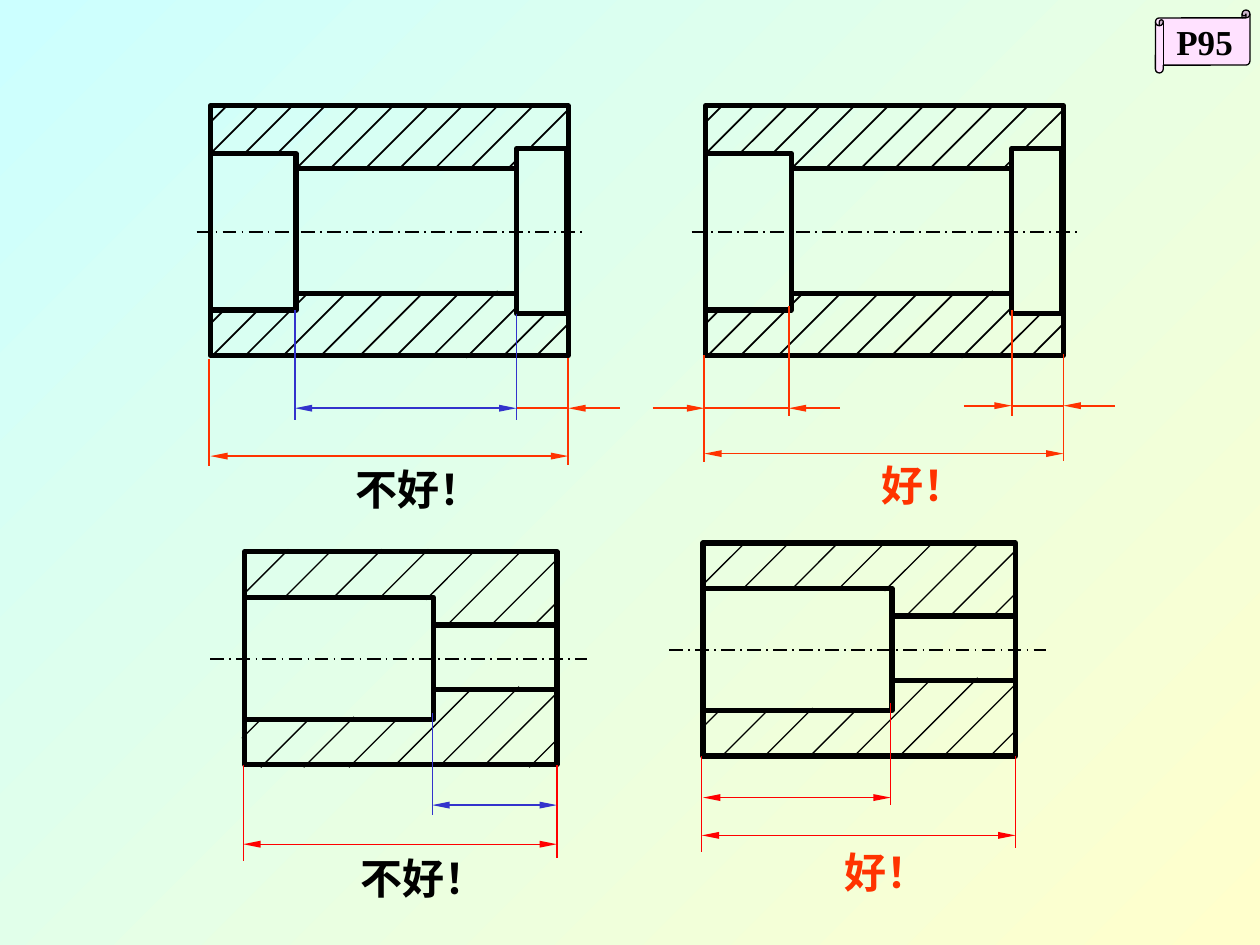
from dataclasses import dataclass
from typing import NamedTuple

from lxml import etree
from pptx import Presentation
from pptx.dml.color import RGBColor
from pptx.enum import dml, shapes, text
from pptx.oxml import ns
from pptx.util import Inches, Pt


@dataclass(frozen=True)
class Theme:
    ink: str = "000000"
    orange: str = "FF3300"
    red: str = "FF0000"
    blue: str = "3333CC"
    pink: str = "FFE1FF"
    sky: str = "CCFFFF"
    cream: str = "FFFFCC"
    bold: float = 3
    thin: float = 1
    fine: float = 0.75
    label: int = 24
    page: int = 20
    sans: str = "Calibri"
    serif: str = "Times New Roman"


class Box(NamedTuple):
    x: float
    y: float
    w: float
    h: float


class Line(NamedTuple):
    x1: float
    y1: float
    x2: float
    y2: float


class Hatch(NamedTuple):
    """A 45 degree stroke rising to the right from its lower end."""
    x: float
    y: float
    rise: float


class Part(NamedTuple):
    """A sectioned part, measured from its top left corner."""
    axis: Line
    boxes: tuple[Box, ...]
    bores: tuple[Line, ...]
    hatch: tuple[tuple[float, float, float], ...]
    width: float


class Dim(NamedTuple):
    line: Line
    color: str
    width: float
    head: bool = False
    tail: bool = False


class Label(NamedTuple):
    words: str
    box: Box
    color: str


T = Theme()

BUSH = Part(
    Line(-0.11, 1, 2.98, 1),
    (Box(0, 0, 2.84, 1.98), Box(0, 0.38, 0.68, 1.24), Box(2.43, 0.34, 0.4, 1.31)),
    (Line(0.67, 0.5, 2.43, 0.5), Line(0.67, 1.49, 2.43, 1.49)),
    ((0, 0.13, 0.13), (0, 0.38, 0.37), (0.27, 0.38, 0.38), (0.54, 0.37, 0.37),
     (0.68, 0.5, 0.5), (0.95, 0.5, 0.49), (1.23, 0.5, 0.5), (1.5, 0.5, 0.5),
     (1.78, 0.5, 0.5), (2.05, 0.51, 0.51), (2.36, 0.5, 0.07), (2.55, 0.32, 0.28),
     (-0.01, 1.74, 0.12), (0.02, 1.98, 0.36), (0.29, 1.97, 0.49), (0.58, 1.98, 0.5),
     (0.88, 1.98, 0.5), (1.18, 1.99, 0.49), (1.48, 1.98, 0.5), (1.76, 1.99, 0.52),
     (2.03, 2, 0.4), (2.32, 1.99, 0.33), (2.58, 1.99, 0.26)),
    T.thin)

STEP = Part(
    Line(-0.27, 0.85, 2.72, 0.85),
    (Box(0, 0, 2.48, 1.69), Box(0, 0.36, 1.5, 0.97)),
    (Line(1.49, 0.58, 2.48, 0.58), Line(1.49, 1.09, 2.49, 1.09)),
    ((-0.01, 0.34, 0.36), (0.33, 0.35, 0.36), (0.7, 0.37, 0.39), (1.09, 0.35, 0.37),
     (1.44, 0.38, 0.39), (1.62, 0.57, 0.58), (1.96, 0.58, 0.52), (2.3, 0.58, 0.17),
     (-0.02, 1.48, 0.15), (0.13, 1.71, 0.38), (0.47, 1.71, 0.4), (0.83, 1.71, 0.38),
     (1.2, 1.69, 0.6), (1.57, 1.68, 0.61), (1.92, 1.68, 0.57), (2.26, 1.71, 0.22)),
    T.fine)

PARTS = ((BUSH, 1.67, 0.84), (BUSH, 5.6, 0.84), (STEP, 1.94, 4.38), (STEP, 5.58, 4.31))


def rise(x: float, top: float, end: float, color: str, width: float) -> Dim:
    """Vertical extension line."""
    return Dim(Line(x, top, x, end), color, width)


def span(x1: float, x2: float, y: float, color: str, width: float,
         head: bool = True, tail: bool = True) -> Dim:
    """Horizontal dimension line."""
    return Dim(Line(x1, y, x2, y), color, width, head, tail)


def pinch(x1: float, x2: float, y: float, left: float) -> list[Dim]:
    """Short dimension with arrows pointing in from outside."""
    return [span(x1 - left, x1, y, T.orange, T.thin, head=False),
            span(x1, x2, y, T.orange, T.thin, head=False, tail=False),
            span(x2, x2 + 0.41, y, T.orange, T.thin, tail=False)]


DIMS = [
    rise(4.51, 2.84, 3.69, T.orange, T.thin),
    rise(4.1, 2.49, 3.33, T.blue, T.thin),
    rise(2.34, 2.46, 3.33, T.blue, T.thin),
    rise(1.66, 2.85, 3.7, T.orange, T.thin),
    span(2.34, 4.1, 3.24, T.blue, T.thin),
    *pinch(4.1, 4.51, 3.24, 0)[1:],
    span(1.67, 4.51, 3.62, T.orange, T.thin),
    rise(8.44, 2.81, 3.66, T.orange, T.thin),
    rise(8.03, 2.46, 3.3, T.orange, T.thin),
    rise(6.26, 2.43, 3.3, T.orange, T.thin),
    rise(5.59, 2.82, 3.67, T.orange, T.thin),
    *pinch(8.03, 8.44, 3.22, 0.38),
    *pinch(5.59, 6.26, 3.24, 0.41),
    span(5.59, 8.44, 3.6, T.orange, T.thin),
    rise(1.93, 6.07, 6.83, T.red, T.fine),
    rise(4.42, 6.07, 6.81, T.red, T.fine),
    rise(3.43, 5.66, 6.47, T.blue, T.fine),
    span(1.93, 4.42, 6.7, T.red, T.fine),
    span(3.43, 4.42, 6.39, T.blue, T.fine),
    rise(5.57, 6, 6.76, T.red, T.fine),
    rise(8.06, 6, 6.73, T.red, T.fine),
    rise(7.07, 5.58, 6.39, T.red, T.fine),
    span(5.57, 8.06, 6.63, T.red, T.fine),
    span(5.58, 7.07, 6.33, T.red, T.fine),
]

LABELS = (
    Label("不好！", Box(2.72, 3.63, 1.2, 0.5), T.ink),
    Label("好！", Box(6.73, 3.6, 0.86, 0.5), T.orange),
    Label("不好！", Box(2.76, 6.72, 1.2, 0.5), T.ink),
    Label("好！", Box(6.44, 6.67, 0.86, 0.5), T.orange),
)


def rgb(code: str) -> RGBColor:
    return RGBColor.from_string(code)


def stroke(slide, line: Line, *, color: str = T.ink, width: float = T.thin,
           dash: bool = False, head: bool = False, tail: bool = False) -> None:
    item = slide.shapes.add_connector(
        shapes.MSO_CONNECTOR.STRAIGHT, *(Inches(v) for v in line))
    item.line.color.rgb = rgb(color)
    item.line.width = Pt(width)
    if dash:
        item.line.dash_style = dml.MSO_LINE.LONG_DASH_DOT
    props = item.element.spPr
    pen = props.find(ns.qn("a:ln"))
    for tag, shown in (("a:headEnd", head), ("a:tailEnd", tail)):
        if shown:
            etree.SubElement(pen, ns.qn(tag), type="triangle", w="sm", len="lg")
    etree.SubElement(props, ns.qn("a:effectLst"))


def shape(slide, kind, box: Box, width: float, fill: str | None = None):
    item = slide.shapes.add_shape(kind, *(Inches(v) for v in box))
    item.shadow.inherit = False
    if fill:
        item.fill.solid()
        item.fill.fore_color.rgb = rgb(fill)
    else:
        item.fill.background()
    item.line.color.rgb = rgb(T.ink)
    item.line.width = Pt(width)
    return item


def write(item, words: str, *, size: int, font: str, color: str = T.ink) -> None:
    frame = item.text_frame
    frame.word_wrap = False
    frame.vertical_anchor = text.MSO_ANCHOR.MIDDLE
    para = frame.paragraphs[0]
    para.alignment = text.PP_ALIGN.CENTER
    run = para.add_run()
    run.text = words
    run.font.name, run.font.size, run.font.bold = font, Pt(size), True
    run.font.color.rgb = rgb(color)


def draw(slide, part: Part, x: float, y: float) -> None:
    def move(line: Line) -> Line:
        return Line(line.x1 + x, line.y1 + y, line.x2 + x, line.y2 + y)

    stroke(slide, move(part.axis), dash=True)
    for box in part.boxes:
        shape(slide, shapes.MSO_SHAPE.RECTANGLE,
              box._replace(x=box.x + x, y=box.y + y), T.bold)
    for bore in part.bores:
        stroke(slide, move(bore), width=T.bold)
    for cut in (Hatch(*row) for row in part.hatch):
        end = Line(cut.x, cut.y, cut.x + cut.rise, cut.y - cut.rise)
        stroke(slide, move(end), width=part.width)


def main() -> None:
    deck = Presentation()
    deck.slide_width, deck.slide_height = Inches(10), Inches(7.5)
    slide = deck.slides.add_slide(deck.slide_layouts[6])
    fill = slide.background.fill
    fill.gradient()
    fill.gradient_angle = 315
    for stop, color, place in zip(fill.gradient_stops, (T.sky, T.cream), (0, 1)):
        stop.color.rgb, stop.position = rgb(color), place

    for part, x, y in PARTS:
        draw(slide, part, x, y)
    for dim in DIMS:
        stroke(slide, dim.line, color=dim.color, width=dim.width,
               head=dim.head, tail=dim.tail)
    for label in LABELS:
        item = slide.shapes.add_textbox(*(Inches(v) for v in label.box))
        write(item, label.words, size=T.label, font=T.sans, color=label.color)
    scroll = shape(slide, shapes.MSO_SHAPE.HORIZONTAL_SCROLL,
                   Box(9.17, 0.08, 0.75, 0.5), T.fine, T.pink)
    write(scroll, "P95", size=T.page, font=T.serif)
    deck.save("out.pptx")


if __name__ == "__main__":
    main()
